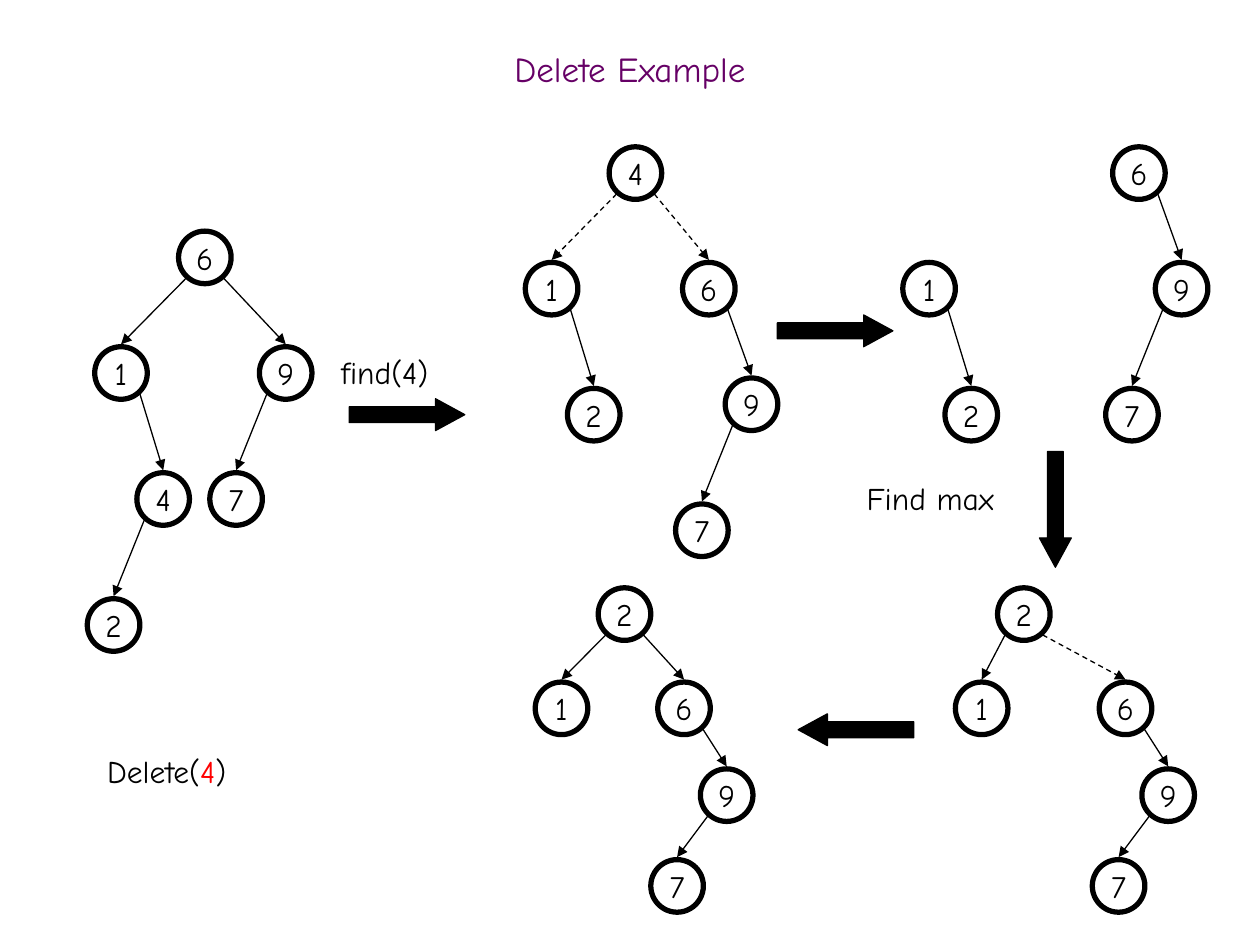
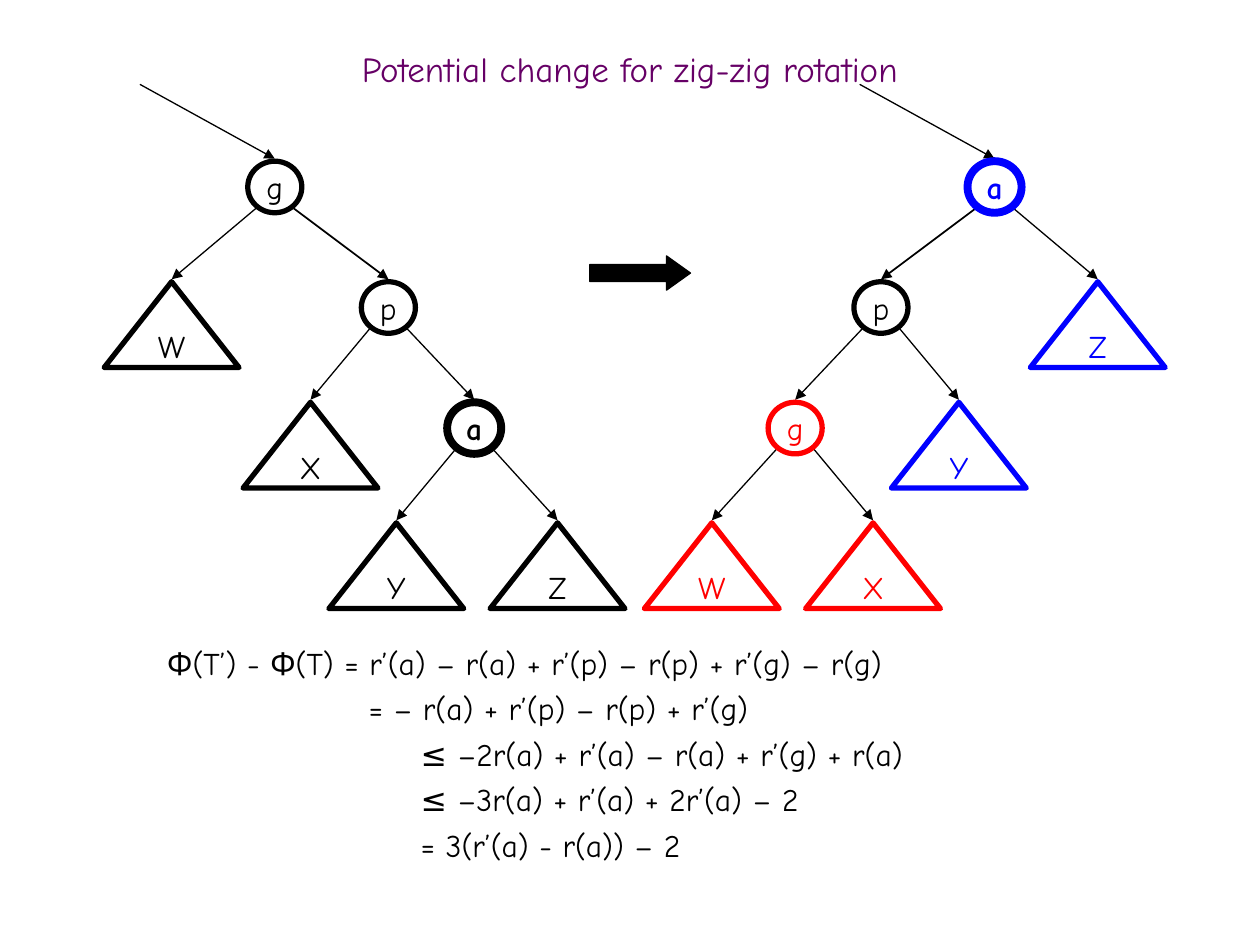
from lxml.etree import SubElement
from pptx import Presentation
from pptx.dml.color import RGBColor
from pptx.enum.dml import MSO_LINE
from pptx.enum.shapes import MSO_CONNECTOR, MSO_SHAPE
from pptx.enum.text import MSO_ANCHOR, PP_ALIGN
from pptx.oxml.ns import qn
from pptx.util import Cm, Pt

FONT = "Comic Neue"
BLACK, RED, BLUE, PURPLE = "000000", "FF0000", "0000FF", "660066"
TITLE_ONLY = 5
NODE_GAP = 0.05

LEFT_CHILD, RIGHT_CHILD = (-1.69, 2.33), (1.63, 2.33)
INNER_RIGHT, INNER_LEFT = (0.85, 2.54), (-1.0, 2.54)
STEEP_RIGHT = (0.86, 2.33)
LOW_NINE, LOW_SEVEN = (0.86, 1.75), (-1.0, 1.83)

DELETE_TREES = [
    ((4.13, 4.66), "6", [("6", "1", LEFT_CHILD), ("6", "9", RIGHT_CHILD),
                         ("1", "4", INNER_RIGHT), ("9", "7", INNER_LEFT),
                         ("4", "2", INNER_LEFT)], ()),
    ((12.81, 2.96), "4", [("4", "1", LEFT_CHILD), ("4", "6", (1.48, 2.33)),
                          ("1", "2", INNER_RIGHT), ("6", "9", STEEP_RIGHT),
                          ("9", "7", INNER_LEFT)], ("1", "6")),
    ((18.73, 5.29), "1", [("1", "2", INNER_RIGHT)], ()),
    ((22.96, 2.96), "6", [("6", "9", STEEP_RIGHT), ("9", "7", INNER_LEFT)], ()),
    ((20.64, 11.85), "2", [("2", "1", (-0.85, 1.9)), ("2", "6", (2.05, 1.9)),
                           ("6", "9", LOW_NINE), ("9", "7", LOW_SEVEN)], ("6",)),
    ((12.59, 11.85), "2", [("2", "1", (-1.27, 1.9)), ("2", "6", (1.2, 1.9)),
                           ("6", "9", LOW_NINE), ("9", "7", LOW_SEVEN)], ()),
]

LEVEL_STEP = 2.43
ZIG_ZIG_STEPS = [(0, 1, -2.08), (0, 2, 2.29), (2, 3, -1.57),
                 (2, 4, 1.73), (4, 5, -1.57), (4, 6, 1.68)]
PROOF = [
    (1.27, "Φ(T’) - Φ(T) = r’(a) – r(a) + r’(p) – r(p) + r’(g) – r(g)"),
    (5.33, "= – r(a) + r’(p) – r(p) + r’(g)"),
    (6.38, "≤ –2r(a) + r’(a) – r(a) + r’(g) + r(a)"),
    (6.38, "≤ –3r(a) + r’(a) + 2r’(a) – 2"),
    (6.38, "= 3(r’(a) - r(a)) – 2"),
]


def rgb(color):
    """Turn a hex string into a colour."""
    return RGBColor.from_string(color)


def format_run(run, color=BLACK, size=18, bold=False):
    """Give a run the deck's font."""
    run.font.name = FONT
    run.font.size = Pt(size)
    run.font.bold = bold
    run.font.color.rgb = rgb(color)


def add_titled_slide(presentation, title):
    """Add a slide with the shared title style."""
    slide = presentation.slides.add_slide(presentation.slide_layouts[TITLE_ONLY])
    shape = slide.shapes.title
    shape.left, shape.top, shape.width, shape.height = Cm(0), Cm(0.85), Cm(25.4), Cm(1.27)
    text_frame = shape.text_frame
    text_frame.text = title
    text_frame.vertical_anchor = MSO_ANCHOR.MIDDLE
    paragraph = text_frame.paragraphs[0]
    paragraph.alignment = PP_ALIGN.CENTER
    paragraph.line_spacing = 0.7
    format_run(paragraph.runs[0], PURPLE, 20)
    return slide


def add_label(slide, left, top, width, parts):
    """Add one line of text made of (text, colour) parts."""
    text_frame = slide.shapes.add_textbox(Cm(left), Cm(top), Cm(width), Cm(1.02)).text_frame
    text_frame.word_wrap = False
    for text, color in parts:
        run = text_frame.paragraphs[0].add_run()
        run.text = text
        format_run(run, color)


def add_pointer(slide, start, end, width=0.75, dashed=False):
    """Draw a thin arrow between two points."""
    connector = slide.shapes.add_connector(
        MSO_CONNECTOR.STRAIGHT, *(Cm(value) for value in (*start, *end)))
    connector.line.color.rgb = rgb(BLACK)
    connector.line.width = Pt(width)
    if dashed:
        connector.line.dash_style = MSO_LINE.DASH
    SubElement(connector.line._get_or_add_ln(), qn("a:tailEnd"), type="triangle")
    SubElement(connector._element.spPr, qn("a:effectLst"))


def add_edge(slide, parent, child, **style):
    """Join a parent's lower side to its child's top, both given by top centre."""
    side = 0.38 if child[0] > parent[0] else -0.38
    add_pointer(slide, (parent[0] + side, parent[1] + 0.95),
                (child[0], child[1] - NODE_GAP), **style)


def add_node(slide, kind, top_center, size, label, color=BLACK, bold=False):
    """Draw an outlined node hanging from its top centre."""
    (x, y), (width, height) = top_center, size
    shape = slide.shapes.add_shape(kind, Cm(x - width / 2), Cm(y), Cm(width), Cm(height))
    shape.shadow.inherit = False
    shape.fill.background()
    shape.line.color.rgb = rgb(color)
    shape.line.width = Pt(4.5 if bold else 3)
    text_frame = shape.text_frame
    text_frame.text = label
    text_frame.word_wrap = False
    text_frame.vertical_anchor = MSO_ANCHOR.MIDDLE
    text_frame.paragraphs[0].alignment = PP_ALIGN.CENTER
    format_run(text_frame.paragraphs[0].runs[0], color, bold=bold)


def add_block_arrow(slide, left, top, width=2.33, height=0.64, head=0.92, rotation=0):
    """Draw a solid arrow that leads to the next step."""
    arrow = slide.shapes.add_shape(
        MSO_SHAPE.RIGHT_ARROW, Cm(left), Cm(top), Cm(width), Cm(height))
    arrow.adjustments[1] = head
    arrow.rotation = rotation
    arrow.shadow.inherit = False
    arrow.fill.solid()
    arrow.fill.fore_color.rgb = rgb(BLACK)
    arrow.line.color.rgb = rgb(BLACK)
    arrow.line.width = Pt(0.75)


def add_search_tree(slide, origin, root, branches, dashed):
    """Draw a tree of numbers below the root's top centre."""
    places = {root: origin}
    for parent, child, (dx, dy) in branches:
        x, y = places[parent]
        places[child] = (x + dx, y + dy)
        add_edge(slide, places[parent], places[child], dashed=child in dashed)
    for label, place in places.items():
        add_node(slide, MSO_SHAPE.OVAL, place, (1.06, 1.06), label)


def add_rotation_tree(slide, origin, labels, direction=1, colors=None):
    """Draw a zig-zig chain with its subtrees; direction -1 mirrors it."""
    x, y = origin
    add_pointer(slide, (x - 2.72, y - 1.55), (x, y - NODE_GAP))
    places = [origin]
    for parent, child, dx in ZIG_ZIG_STEPS:
        x, y = places[parent]
        places.append((x + direction * dx, y + LEVEL_STEP))
        add_edge(slide, places[parent], places[child], width=1 if child == 2 else 0.75)
    for label, place in zip(labels, places):
        is_subtree = label.isupper()
        kind = MSO_SHAPE.ISOSCELES_TRIANGLE if is_subtree else MSO_SHAPE.OVAL
        size = (2.72, 1.73) if is_subtree else (1.09, 1.04)
        color = (colors or {}).get(label, BLACK)
        add_node(slide, kind, place, size, label, color, bold=label == "a")


def add_proof(slide, left, top, width, height):
    """Write the derivation, each line at its own indent."""
    text_frame = slide.shapes.add_textbox(Cm(left), Cm(top), Cm(width), Cm(height)).text_frame
    text_frame.word_wrap = True
    text_frame.text = "\n".join(text for _, text in PROOF)
    for paragraph, (indent, _) in zip(text_frame.paragraphs, PROOF):
        paragraph.line_spacing = Pt(26)
        paragraph._p.get_or_add_pPr().set("marL", str(Cm(indent)))
        format_run(paragraph.runs[0])


def build_delete_slide(presentation):
    """Show the steps of deleting a key."""
    slide = add_titled_slide(presentation, "Delete Example")
    for tree in DELETE_TREES:
        add_search_tree(slide, *tree)
    for left, top, rotation in [(7.04, 8.04, 0), (15.67, 6.35, 0),
                                (20.11, 9.95, 90), (16.09, 14.39, 180)]:
        add_block_arrow(slide, left, top, rotation=rotation)
    add_label(slide, 1.91, 15.03, 3.38, [("Delete(", BLACK), ("4", RED), (")", BLACK)])
    add_label(slide, 6.63, 6.99, 2.59, [("find(4)", BLACK)])
    add_label(slide, 17.22, 9.53, 3.2, [("Find max", BLACK)])


def build_potential_slide(presentation):
    """Show the zig-zig rotation and its potential change."""
    slide = add_titled_slide(presentation, "Potential change for zig-zig rotation")
    add_proof(slide, 1.85, 12.7, 22.07, 4.01)
    add_rotation_tree(slide, (5.54, 3.25), "gWpXaYZ")
    add_block_arrow(slide, 11.89, 5.16, 2.03, 0.69, head=0.7)
    colors = dict.fromkeys("aYZ", BLUE) | dict.fromkeys("gWX", RED)
    add_rotation_tree(slide, (20.05, 3.25), "aZpYgXW", -1, colors)


def main():
    """Build both slides and save them."""
    presentation = Presentation()
    presentation.slide_width, presentation.slide_height = Cm(25.4), Cm(19.05)
    build_delete_slide(presentation)
    build_potential_slide(presentation)
    presentation.save("out.pptx")


if __name__ == "__main__":
    main()
